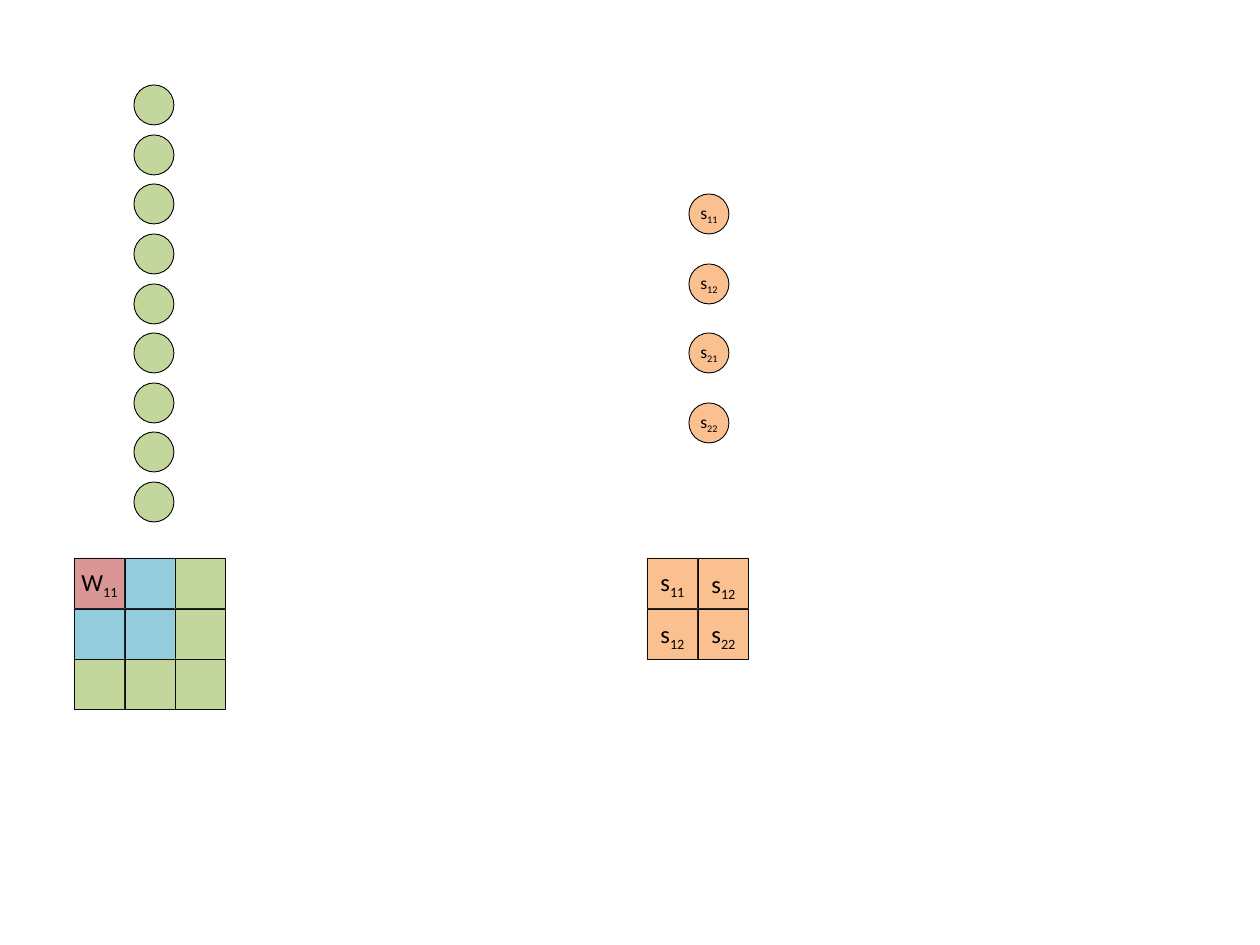
from dataclasses import dataclass

from pptx import Presentation
from pptx import util as u
from pptx.dml.color import RGBColor
from pptx.enum import shapes, text

PX_PER_INCH = 126


@dataclass(frozen=True)
class Theme:
    font: str = "Calibri"
    ink: str = "000000"
    cell_line: str = "0D0D0D"
    green: str = "C3D69B"
    blue: str = "93CDDD"
    red: str = "D99694"
    orange: str = "FAC090"
    node_size: int = 10
    cell_size: int = 14
    line_width: float = 0.5


def px(n):
    return u.Emu(round(n * 914400 / PX_PER_INCH))


def spread(first, last, count):
    """Evenly spaced whole positions from first to last."""
    return [round(first + (last - first) * i / (count - 1)) for i in range(count)]


class Sheet:
    def __init__(self, slide, theme):
        self.s, self.theme = slide, theme

    def shape(self, parent, kind, x, y, size, fill, line):
        sp = parent.shapes.add_shape(kind, px(x), px(y), px(size), px(size))
        sp.shadow.inherit = False
        sp.fill.solid()
        sp.fill.fore_color.rgb = RGBColor.from_string(fill)
        sp.line.color.rgb = RGBColor.from_string(line)
        sp.line.width = u.Pt(self.theme.line_width)
        return sp

    def label(self, sp, symbol, size, top=0):
        """Write a letter followed by its subscript, such as s and 11."""
        tf = sp.text_frame
        frame = dict(margin_left=0, margin_right=0, margin_top=px(top), margin_bottom=0,
                     word_wrap=False, vertical_anchor=text.MSO_ANCHOR.MIDDLE)
        for name, value in frame.items():
            setattr(tf, name, value)
        p = tf.paragraphs[0]
        p.alignment = text.PP_ALIGN.CENTER
        for part in (symbol[0], symbol[1:]):
            r = p.add_run()
            r.text = part
            for name, value in dict(name=self.theme.font, size=u.Pt(size)).items():
                setattr(r.font, name, value)
            r.font.color.rgb = RGBColor.from_string(self.theme.ink)
        r.font._element.set("baseline", "-25000")

    def node(self, x, y, fill, symbol=""):
        sp = self.shape(self.s, shapes.MSO_SHAPE.OVAL, x, y, 40, fill, self.theme.ink)
        if symbol:
            self.label(sp, symbol, self.theme.node_size)

    def grid(self, x, y, span, rows):
        """Square grid; each cell is (fill, symbol, top inset)."""
        group = self.s.shapes.add_group_shape()
        edges = spread(0, span, len(rows) + 1)
        for dy, row in zip(edges, rows):
            for dx, (fill, symbol, top) in zip(edges, row):
                sp = self.shape(group, shapes.MSO_SHAPE.RECTANGLE, x + dx, y + dy, 51,
                                fill, self.theme.cell_line)
                if symbol:
                    self.label(sp, symbol, self.theme.cell_size, top)


def main():
    prs = Presentation()
    prs.slide_width, prs.slide_height = u.Inches(10), u.Inches(7.5)
    t = Theme()
    sheet = Sheet(prs.slides.add_slide(prs.slide_layouts[6]), t)

    # Input nodes
    for y in spread(85, 482, 9):
        sheet.node(134, y, t.green)

    # Input grid with the window in its top left corner
    green, blue = (t.green, "", 0), (t.blue, "", 0)
    sheet.grid(74, 558, 152, [
        [(t.red, "W11", 0), blue, green],
        [blue, blue, green],
        [green, green, green],
    ])

    # Output nodes
    for y, symbol in zip(spread(194, 403, 4), ("s11", "s12", "s21", "s22")):
        sheet.node(689, y, t.orange, symbol)

    # Output grid
    sheet.grid(647, 558, 102, [
        [(t.orange, "s11", 0), (t.orange, "s12", 5)],
        [(t.orange, "s12", 3), (t.orange, "s22", 3)],
    ])

    prs.save("out.pptx")


if __name__ == "__main__":
    main()
